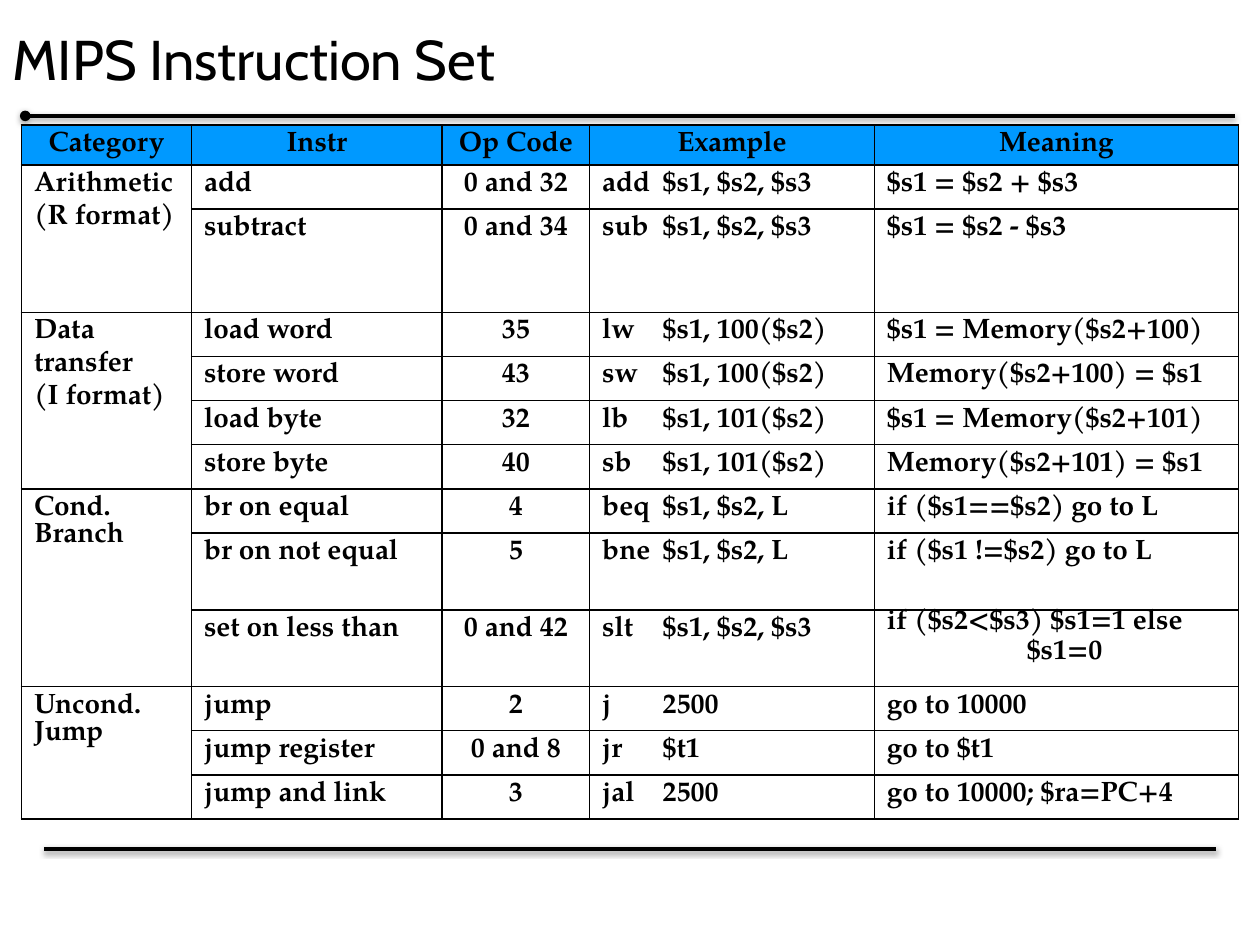
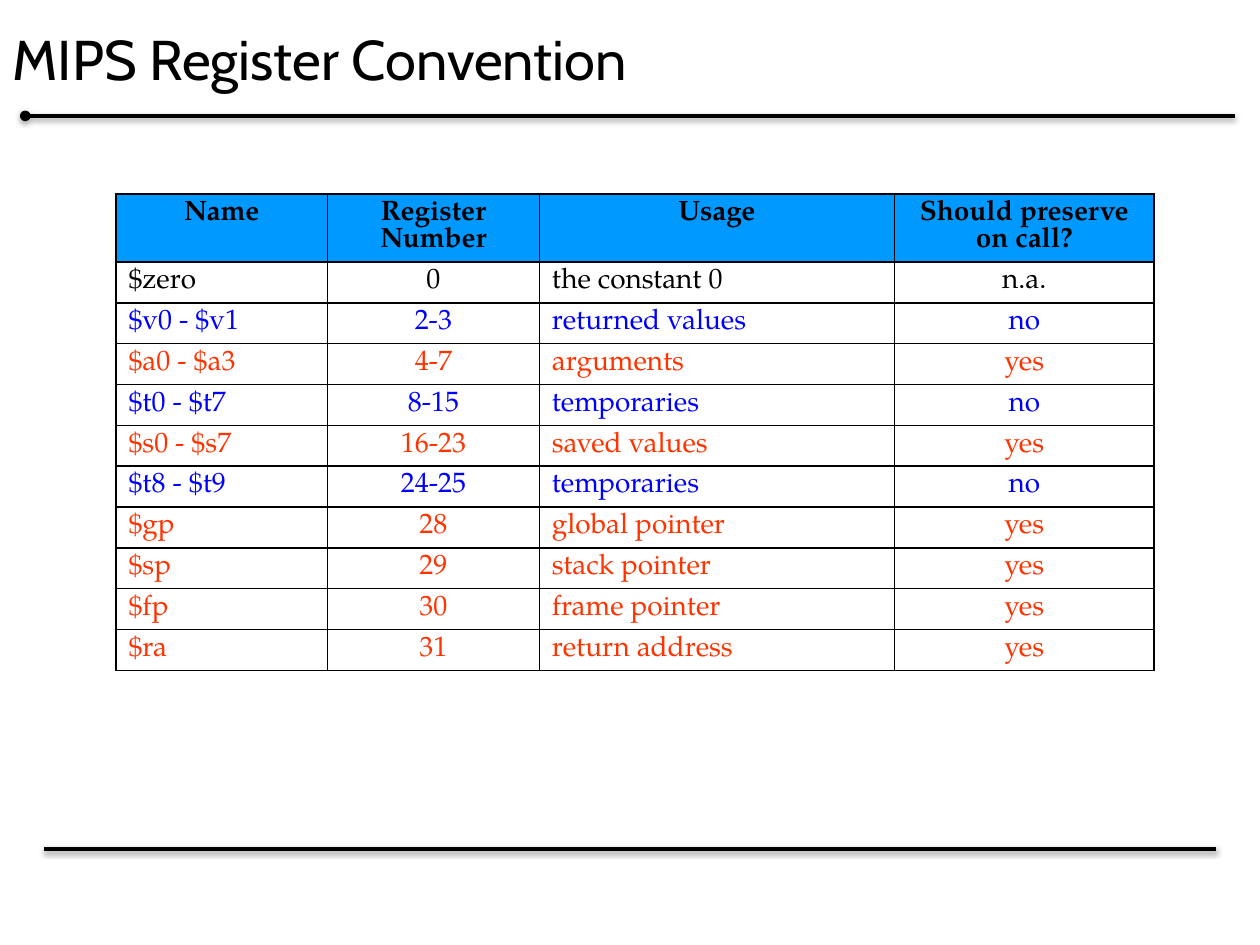
from dataclasses import dataclass

from lxml.etree import SubElement
from pptx import Presentation
from pptx.dml.color import RGBColor
from pptx.enum.shapes import MSO_CONNECTOR
from pptx.enum.text import MSO_ANCHOR, PP_ALIGN
from pptx.oxml import parse_xml
from pptx.oxml.ns import nsdecls, qn
from pptx.util import Inches, Pt


@dataclass(frozen=True)
class Theme:
    black: str = "000000"
    header_fill: str = "0099FF"
    not_preserved: str = "0000FF"
    preserved: str = "FF3300"
    title_font: str = "Cabin"
    table_font: str = "TeX Gyre Pagella"
    title_size: int = 32
    table_size: int = 16
    rule_width: int = 2
    border_width: int = 1


THEME = Theme()

# Content: instruction set, grouped by category
INSTRUCTION_TITLE = "MIPS Instruction Set"
INSTRUCTION_HEADER = ("Category", "Instr", "Op Code", "Example", "Meaning")
INSTRUCTION_GROUPS = [
    ("Arithmetic\n(R format)", [
        ("add", "0 and 32", "add\t$s1, $s2, $s3", "$s1 = $s2 + $s3"),
        ("subtract", "0 and 34", "sub\t$s1, $s2, $s3", "$s1 = $s2 - $s3"),
    ]),
    ("Data\ntransfer\n(I format)", [
        ("load word", "35", "lw\t$s1, 100($s2)", "$s1 = Memory($s2+100)"),
        ("store word", "43", "sw\t$s1, 100($s2)", "Memory($s2+100) = $s1"),
        ("load byte", "32", "lb\t$s1, 101($s2)", "$s1 = Memory($s2+101)"),
        ("store byte", "40", "sb\t$s1, 101($s2)", "Memory($s2+101) = $s1"),
    ]),
    ("Cond. Branch", [
        ("br on equal", "4", "beq\t$s1, $s2, L", "if ($s1==$s2) go to L"),
        ("br on not equal", "5", "bne\t$s1, $s2, L", "if ($s1 !=$s2) go to L"),
        ("set on less than", "0 and 42", "slt\t$s1, $s2, $s3",
         "if ($s2<$s3) $s1=1 else\n$s1=0"),
    ]),
    ("Uncond. Jump", [
        ("jump", "2", "j\t2500", "go to 10000"),
        ("jump register", "0 and 8", "jr\t$t1", "go to $t1"),
        ("jump and link", "3", "jal\t2500", "go to 10000; $ra=PC+4"),
    ]),
]
INSTRUCTION_COLUMNS = (1.35, 1.99, 1.17, 2.26, 2.89)
TALL_ROWS = {"subtract": 0.82, "br on not equal": 0.61, "set on less than": 0.61}

# Content: register convention
REGISTER_TITLE = "MIPS Register Convention"
REGISTER_HEADER = ("Name", "Register Number", "Usage", "Should preserve on call?")
REGISTERS = [
    ("$zero", "0", "the constant 0", "n.a."),
    ("$v0 - $v1", "2-3", "returned values", "no"),
    ("$a0 - $a3", "4-7", "arguments", "yes"),
    ("$t0 - $t7", "8-15", "temporaries", "no"),
    ("$s0 - $s7", "16-23", "saved values", "yes"),
    ("$t8 - $t9", "24-25", "temporaries", "no"),
    ("$gp", "28", "global pointer", "yes"),
    ("$sp", "29", "stack pointer", "yes"),
    ("$fp", "30", "frame pointer", "yes"),
    ("$ra", "31", "return address", "yes"),
]
REGISTER_COLUMNS = (1.68, 1.68, 2.82, 2.06)
PRESERVE_COLORS = {"n.a.": THEME.black, "no": THEME.not_preserved,
                   "yes": THEME.preserved}

OPERAND_TAB = Inches(0.48)
ELSE_INDENT = Inches(1.11)


def rgb(color):
    return RGBColor.from_string(color)


# Shared frame: title and two shadowed rules
def add_rule(slide, start, end, head=None):
    rule = slide.shapes.add_connector(
        MSO_CONNECTOR.STRAIGHT, *(Inches(value) for value in (*start, *end)))
    rule.line.color.rgb = rgb(THEME.black)
    rule.line.width = Pt(THEME.rule_width)
    properties = rule._element.spPr
    if head:
        SubElement(properties.find(qn("a:ln")), qn("a:headEnd"), type=head)
    properties.append(parse_xml(
        f'<a:effectLst {nsdecls("a")}>'
        f'<a:outerShdw blurRad="{Pt(3.1)}" dist="{Pt(1)}" dir="5400000" rotWithShape="0">'
        f'<a:srgbClr val="{THEME.black}"><a:alpha val="38000"/></a:srgbClr>'
        '</a:outerShdw></a:effectLst>'))


def add_framed_slide(presentation, title_text):
    slide = presentation.slides.add_slide(presentation.slide_layouts[5])
    add_rule(slide, (0.2, 0.92), (9.8, 0.92), head="oval")
    add_rule(slide, (9.65, 6.74), (0.35, 6.74))
    title = slide.shapes.title
    title.left, title.top = 0, 0
    title.width, title.height = Inches(10), Inches(0.92)
    frame = title.text_frame
    frame.text = title_text
    frame.vertical_anchor = MSO_ANCHOR.MIDDLE
    paragraph = frame.paragraphs[0]
    paragraph.alignment = PP_ALIGN.LEFT
    style_font(paragraph.font, THEME.title_font, THEME.title_size)
    return slide


def style_font(font, name, size, color=THEME.black, bold=False):
    font.name, font.size, font.bold = name, Pt(size), bold
    font.color.rgb = rgb(color)


# Tables
def add_borders(cell):
    properties = cell._tc.get_or_add_tcPr()
    for position, side in enumerate(("lnL", "lnR", "lnT", "lnB")):
        properties.insert(position, parse_xml(
            f'<a:{side} {nsdecls("a")} w="{Pt(THEME.border_width)}"><a:solidFill>'
            f'<a:srgbClr val="{THEME.black}"/></a:solidFill></a:{side}>'))


def fill_cell(cell, text, centered, color, bold, fill):
    cell.text_frame.text = text
    if fill:
        cell.fill.solid()
        cell.fill.fore_color.rgb = rgb(fill)
    else:
        cell.fill.background()
    add_borders(cell)
    for index, paragraph in enumerate(cell.text_frame.paragraphs):
        paragraph.alignment = PP_ALIGN.CENTER if centered else PP_ALIGN.LEFT
        if index:
            paragraph.space_before = Pt(0.2 * THEME.table_size)
        if "\t" in text:
            tabs = SubElement(paragraph._p.get_or_add_pPr(), qn("a:tabLst"))
            SubElement(tabs, qn("a:tab"), pos=str(OPERAND_TAB), algn="l")
        style_font(paragraph.font, THEME.table_font, THEME.table_size, color, bold)


def add_grid(slide, left, top, columns, heights, rows, centered, colors, bold):
    """Draw rows of text; the first row is the header."""
    table = slide.shapes.add_table(
        len(rows), len(columns), Inches(left), Inches(top),
        Inches(sum(columns)), Inches(sum(heights))).table
    table.first_row = table.horz_banding = False
    for column, width in zip(table.columns, columns):
        column.width = Inches(width)
    for row, height in zip(table.rows, heights):
        row.height = Inches(height)
    for row_index, texts in enumerate(rows):
        header = row_index == 0
        for column_index, text in enumerate(texts):
            fill_cell(table.cell(row_index, column_index), text,
                      header or column_index in centered, colors[row_index],
                      header or bold, THEME.header_fill if header else None)
    return table


def build_instruction_slide(presentation):
    slide = add_framed_slide(presentation, INSTRUCTION_TITLE)
    rows = [INSTRUCTION_HEADER]
    spans = []
    for category, instructions in INSTRUCTION_GROUPS:
        spans.append((len(rows), len(rows) + len(instructions) - 1))
        for index, instruction in enumerate(instructions):
            rows.append(("" if index else category, *instruction))
    heights = [0.32] + [TALL_ROWS.get(row[1], 0.35) for row in rows[1:]]
    table = add_grid(slide, 0.17, 0.99, INSTRUCTION_COLUMNS, heights, rows,
                     centered={2}, colors=[THEME.black] * len(rows), bold=True)
    for first, last in spans:
        table.cell(first, 0).merge(table.cell(last, 0))

    # The two-line meaning is set tighter, its second line indented
    names = [row[1] for row in rows]
    meaning = table.cell(names.index("set on less than"), 4)
    first_line, else_line = meaning.text_frame.paragraphs
    first_line.line_spacing = else_line.line_spacing = 0.6
    else_line.space_before = Pt(0.5 * THEME.table_size)
    else_line._p.get_or_add_pPr().set("marL", str(ELSE_INDENT))


def build_register_slide(presentation):
    slide = add_framed_slide(presentation, REGISTER_TITLE)
    rows = [REGISTER_HEADER, *REGISTERS]
    colors = [THEME.black] + [PRESERVE_COLORS[row[3]] for row in REGISTERS]
    add_grid(slide, 0.92, 1.54, REGISTER_COLUMNS, [0.54] + [0.32] * len(REGISTERS),
             rows, centered={1, 3}, colors=colors, bold=False)


def main():
    presentation = Presentation()
    presentation.slide_width, presentation.slide_height = Inches(10), Inches(7.5)
    build_instruction_slide(presentation)
    build_register_slide(presentation)
    presentation.save("out.pptx")


if __name__ == "__main__":
    main()
